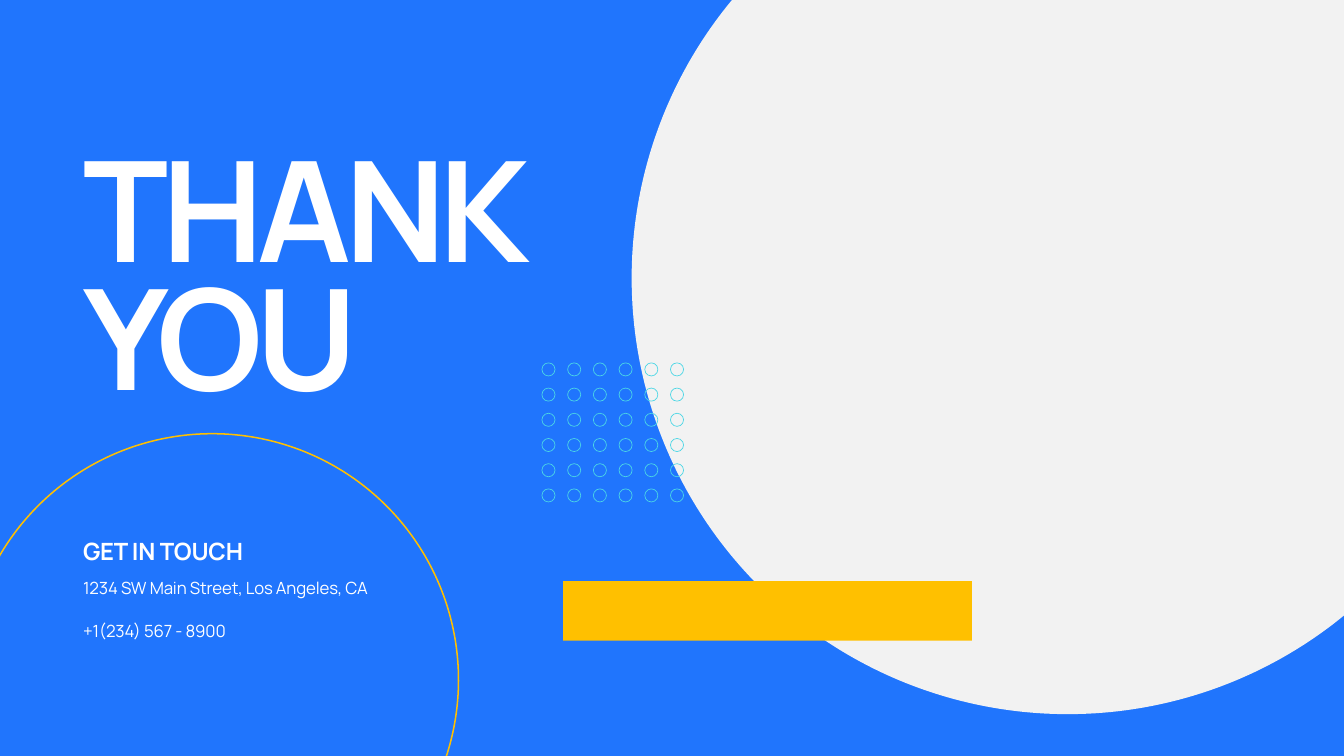
import math

import pptx
import pptx.dml.color
import pptx.enum.shapes
import pptx.enum.text
import pptx.util
from pptx.util import Inches

BLUE = pptx.dml.color.RGBColor(0x20, 0x75, 0xFD)
LIGHT_GRAY = pptx.dml.color.RGBColor(0xF2, 0xF2, 0xF2)
YELLOW = pptx.dml.color.RGBColor(0xFF, 0xC0, 0x00)
CYAN = pptx.dml.color.RGBColor(0x4B, 0xD6, 0xE5)
WHITE = pptx.dml.color.RGBColor(0xFF, 0xFF, 0xFF)

FONT = "Manrope"
SLIDE_WIDTH, SLIDE_HEIGHT = 26.66, 15
MIDDLE = pptx.enum.text.MSO_ANCHOR.MIDDLE
BOTTOM = pptx.enum.text.MSO_ANCHOR.BOTTOM
TOP = pptx.enum.text.MSO_ANCHOR.TOP


def fill_plain(shape, color):
    shape.shadow.inherit = False
    shape.fill.solid()
    shape.fill.fore_color.rgb = color
    shape.line.fill.background()


def add_rectangle(slide, left, top, width, height, color):
    shape = slide.shapes.add_shape(
        pptx.enum.shapes.MSO_SHAPE.RECTANGLE,
        Inches(left), Inches(top), Inches(width), Inches(height))
    fill_plain(shape, color)


def add_polygon(slide, points, color):
    corners = [(Inches(x), Inches(y)) for x, y in points]
    builder = slide.shapes.build_freeform(*corners[0])
    builder.add_line_segments(corners[1:], close=True)
    fill_plain(builder.convert_to_shape(), color)


def arc_points(center_x, center_y, radius, start, end, steps=180):
    """Points along an arc; angles in radians, clockwise from the right."""
    angles = [start + (end - start) * step / steps for step in range(steps + 1)]
    return [(center_x + radius * math.cos(angle),
             center_y + radius * math.sin(angle)) for angle in angles]


def add_photo_circle(slide):
    """Large disc cut off by the top and right slide edges."""
    center_x, center_y, radius = 21.18, 5.52, 8.65
    start = math.acos((SLIDE_WIDTH - center_x) / radius)
    end = math.pi + math.asin(center_y / radius)
    arc = arc_points(center_x, center_y, radius, start, end)
    add_polygon(slide, arc + [(SLIDE_WIDTH, 0)], LIGHT_GRAY)


def add_contact_ring(slide):
    """Thin ring cut off by the left and bottom slide edges."""
    center_x, center_y = 4.21, 13.49

    def edge(radius):
        start = math.pi + math.acos(center_x / radius)
        end = 2 * math.pi + math.asin((SLIDE_HEIGHT - center_y) / radius)
        return arc_points(center_x, center_y, radius, start, end)

    add_polygon(slide, edge(4.9) + edge(4.87)[::-1], YELLOW)


def add_dot_grid(slide, left, top, count=6, pitch_x=0.51, pitch_y=0.5, size=0.26):
    group = slide.shapes.add_group_shape()
    for row in range(count):
        for column in range(count):
            dot = group.shapes.add_shape(
                pptx.enum.shapes.MSO_SHAPE.OVAL,
                Inches(left + column * pitch_x), Inches(top + row * pitch_y),
                Inches(size), Inches(size))
            dot.shadow.inherit = False
            dot.fill.background()
            dot.line.color.rgb = CYAN
            dot.line.width = pptx.util.Pt(1)


def add_text(slide, text, left, top, width, height, size, tracking,
             bold=False, anchor=TOP, line_spacing=None):
    """Text box; tracking is letter spacing in points."""
    box = slide.shapes.add_textbox(
        Inches(left), Inches(top), Inches(width), Inches(height))
    frame = box.text_frame
    frame.text = text
    frame.word_wrap = True
    frame.auto_size = pptx.enum.text.MSO_AUTO_SIZE.SHAPE_TO_FIT_TEXT
    frame.vertical_anchor = anchor
    paragraph = frame.paragraphs[0]
    if line_spacing:
        paragraph.line_spacing = pptx.util.Pt(line_spacing)
    font = paragraph.runs[0].font
    font.name = FONT
    font.size = pptx.util.Pt(size)
    font.bold = bold
    font.color.rgb = WHITE
    paragraph.runs[0]._r.get_or_add_rPr().set("spc", str(round(tracking * 100)))


def main():
    presentation = pptx.Presentation()
    presentation.slide_width = Inches(SLIDE_WIDTH)
    presentation.slide_height = Inches(SLIDE_HEIGHT)
    slide = presentation.slides.add_slide(presentation.slide_layouts[6])

    add_rectangle(slide, 0, 0, SLIDE_WIDTH, SLIDE_HEIGHT, BLUE)
    add_photo_circle(slide)
    add_rectangle(slide, 11.17, 11.53, 8.11, 1.18, YELLOW)
    add_contact_ring(slide)
    add_dot_grid(slide, 10.75, 7.2)

    text_left = 1.55
    add_text(slide, "GET IN TOUCH", text_left, 10.59, 6.17, 0.67, 34, -0.3,
             bold=True, anchor=BOTTOM)
    for line, top in (("1234 SW Main Street, Los Angeles, CA", 11.31),
                      ("+1(234) 567 - 8900", 12.16)):
        add_text(slide, line, text_left, top, 6.17, 0.58, 24, -0.2,
                 line_spacing=36)
    for word, top, width in (("THANK", 2.36, 9.84), ("YOU", 4.9, 6.42)):
        add_text(slide, word, text_left, top, width, 3.47, 200, -8.5,
                 bold=True, anchor=MIDDLE)

    presentation.save("out.pptx")


if __name__ == "__main__":
    main()
